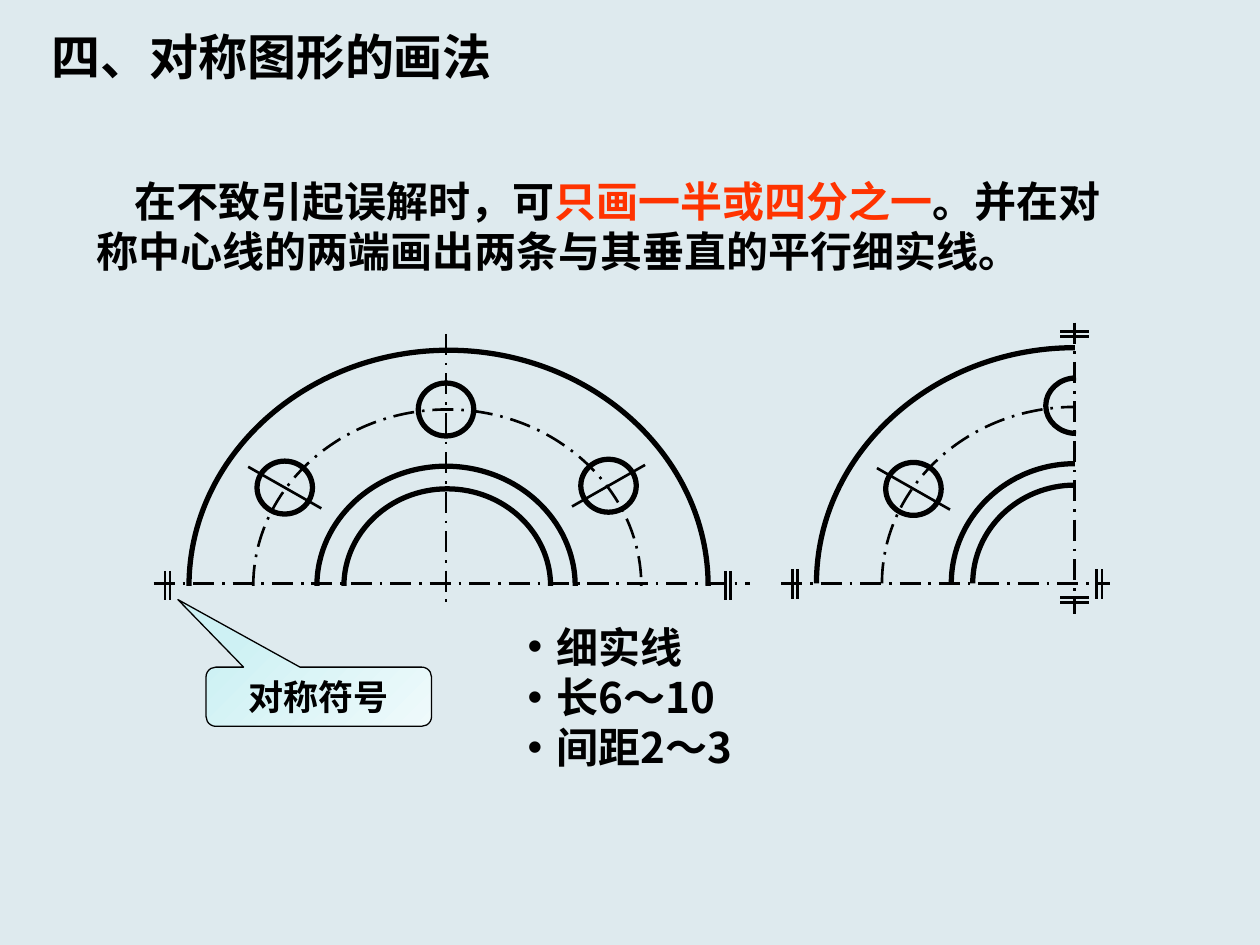
from lxml.etree import SubElement
from pptx import Presentation
from pptx.dml.color import RGBColor
from pptx.enum.dml import MSO_LINE
from pptx.enum.shapes import MSO_CONNECTOR, MSO_SHAPE
from pptx.enum.text import MSO_ANCHOR, PP_ALIGN
from pptx.oxml.ns import qn
from pptx.util import Inches, Pt

HEX = {"back": "DEEAEE", "ink": "000000", "red": "FF3300",
       "mint": "CEF1F4", "pale": "EFFAFB"}
FONT = "Noto Sans CJK SC"
COLS, ROWS = 100, 75          # grid of square cells
CELL = Inches(0.1)
THIN, BOLD = 1.5, 3           # line widths in points
CHAIN = MSO_LINE.LONG_DASH_DOT
BEND = 0.55                   # handle length of a quarter turn
# Unit curves: a start, then two handles and an end for each quarter
RISE = [(-1, 0), (-1, -BEND), (-BEND, -1), (0, -1)]
ARCH = RISE + [(BEND, -1), (1, -BEND), (1, 0)]
SIDE = [(0, -1), (-BEND, -1), (-1, -BEND), (-1, 0),
        (-1, BEND), (-BEND, 1), (0, 1)]


def rgb(name):
    return RGBColor.from_string(HEX[name])


def cells(*nums):
    return [round(n * CELL) for n in nums]


# Drawing tools, all in grid cells
def pen(line, width, dash=None):
    line.color.rgb = rgb("ink")
    line.width = Pt(width)
    if dash:
        line.dash_style = dash


def rule(slide, x1, y1, x2, y2, dash=None):
    line = slide.shapes.add_connector(
        MSO_CONNECTOR.STRAIGHT, *cells(x1, y1, x2, y2))
    pen(line.line, THIN, dash)
    SubElement(line._element.spPr, qn("a:effectLst"))


def bare(shape, width, dash=None):
    shape.shadow.inherit = False
    shape.fill.background()
    pen(shape.line, width, dash)


def arc(slide, curve, cx, cy, rx, ry, width=BOLD, dash=None):
    dots = [cells(cx + rx * u, cy + ry * v) for u, v in curve]
    form = slide.shapes.build_freeform(*dots[0], scale=1.0)
    form.add_line_segments(dots[1:], close=False)
    shape = form.convert_to_shape()
    # Turn each three straight steps into one cubic curve
    steps = list(shape._element.iter(qn("a:lnTo")))
    track = steps[0].getparent()
    for i in range(0, len(steps), 3):
        cubic = SubElement(track, qn("a:cubicBezTo"))
        for step in steps[i:i + 3]:
            cubic.append(step[0])
            track.remove(step)
    bare(shape, width, dash)


def hole(slide, cx, cy, slope=0):
    ring = slide.shapes.add_shape(
        MSO_SHAPE.OVAL, *cells(cx - 2.2, cy - 2.1, 4.4, 4.2))
    bare(ring, BOLD)
    if slope:
        dx, dy = 2.9, 1.65 * slope
        rule(slide, cx - dx, cy - dy, cx + dx, cy + dy)


def mark(slide, cx, cy, flat=False):
    """Two short parallel lines across the end of an axis."""
    for gap in (-0.2, 0.2):
        if flat:
            rule(slide, cx - 1.15, cy + gap, cx + 1.15, cy + gap)
        else:
            rule(slide, cx + gap, cy - 1.15, cx + gap, cy + 1.15)


def axes(slide, box, cx, cy):
    x, y, w, h = box
    rule(slide, x, cy, x + w, cy, CHAIN)
    rule(slide, cx, y, cx, y + h, CHAIN)


# Half view of the flange
def half(slide, box):
    x, y, w, h = box
    cx, cy = x + 23.2, y + 19.8
    for dx, rx, ry in ((0.2, 20.6, 18.7), (0, 10.25, 9.5), (0.1, 8.2, 7.7)):
        arc(slide, ARCH, cx + dx, cy + 0.2, rx, ry)
    arc(slide, ARCH, cx + 0.1, cy + 0.2, 15.4, 14, THIN, CHAIN)
    axes(slide, box, cx, cy)
    for mx in (x + 1.1, x + w - 1.7):
        mark(slide, mx, cy + 0.15)
    for dx, dy, slope in ((-12.8, -7.6, 1), (0, -13.8, 0), (12.9, -7.75, -1)):
        hole(slide, cx + dx, cy + dy, slope)


# Quarter view of the flange
def part(slide, box):
    x, y, w, h = box
    cx, cy = x + 23.3, y + 20.7
    for rx, ry in ((20.5, 18.7), (9.8, 9.5), (8.1, 7.8)):
        arc(slide, RISE, cx, cy, rx, ry)
    arc(slide, RISE, cx, cy, 15.3, 14, THIN, CHAIN)
    arc(slide, SIDE, cx + 0.1, cy - 14.1, 2.4, 2.2)
    axes(slide, box, cx, cy)
    for mx in (x + 1.1, x + w - 0.85):
        mark(slide, mx, cy + 0.05)
    for my in (y + 0.9, y + h - 1.1):
        mark(slide, cx, my, flat=True)
    hole(slide, cx - 12.8, cy - 7.5, 1)


# Text, run by run
def write(para, runs, size, font=FONT):
    for text, tint in runs:
        run = para.add_run()
        run.text = text
        face = run.font
        face.size, face.bold, face.name = Pt(size), True, font
        face.color.rgb = rgb(tint)
        SubElement(run._r.get_or_add_rPr(), qn("a:ea"), typeface=FONT)


def block(slide, box, paras, size, left=0, dent=0, dot=None):
    frame = slide.shapes.add_textbox(*cells(*box)).text_frame
    frame.word_wrap = True
    for i, runs in enumerate(paras):
        para = frame.paragraphs[0] if i == 0 else frame.add_paragraph()
        para.line_spacing = Pt(size * 1.2)
        props = para._p.get_or_add_pPr()
        props.set("marL", str(Inches(left)))
        props.set("indent", str(Inches(dent)))
        if dot:
            SubElement(props, qn("a:buFont"), typeface="Arial")
            SubElement(props, qn("a:buChar"), char=dot)
        write(para, runs, size)


# Callout that names the symmetry mark
def label(slide, box):
    note = slide.shapes.add_shape(
        MSO_SHAPE.ROUNDED_RECTANGULAR_CALLOUT, *cells(*box))
    for i, share in enumerate((-0.625, -1.641, 0.167)):
        note.adjustments[i] = share
    note.shadow.inherit = False
    note.fill.gradient()
    note.fill.gradient_angle = 315
    for stop, tint in zip(note.fill.gradient_stops, ("mint", "pale")):
        stop.color.rgb = rgb(tint)
    pen(note.line, 0.75)
    frame = note.text_frame
    frame.vertical_anchor = MSO_ANCHOR.MIDDLE
    para = frame.paragraphs[0]
    para.alignment = PP_ALIGN.CENTER
    write(para, [("对称符号", "ink")], 20, "Times New Roman")


def main():
    deck = Presentation()
    deck.slide_width, deck.slide_height = cells(COLS, ROWS)
    slide = deck.slides.add_slide(deck.slide_layouts[6])
    slide.background.fill.solid()
    slide.background.fill.fore_color.rgb = rgb("back")

    # Heading
    block(slide, (3.1, 1.6, 52.2, 5.7), [[("四、对称图形的画法", "ink")]], 28)
    # Views
    half(slide, (12.2, 26.5, 47.3, 21.3))
    part(slide, (62, 25.6, 26.1, 23.1))
    # Rule of drawing
    block(slide, (6.7, 13.4, 84.1, 9), [[
        ("在不致引起误解时，可", "ink"),
        ("只画一半或四分之一", "red"),
        ("。并在对称中心线的两端画出两条与其垂直的平行细实线。", "ink"),
    ]], 24, dent=0.3)
    # Notes on the mark
    notes = ("细实线", "长6～10", "间距2～3")
    block(slide, (40.9, 48.8, 20.4, 13), [[(n, "ink")] for n in notes],
          24, left=0.23, dent=-0.23, dot="•")
    label(slide, (16.35, 52.95, 17.9, 4.7))

    deck.save("out.pptx")


if __name__ == "__main__":
    main()
